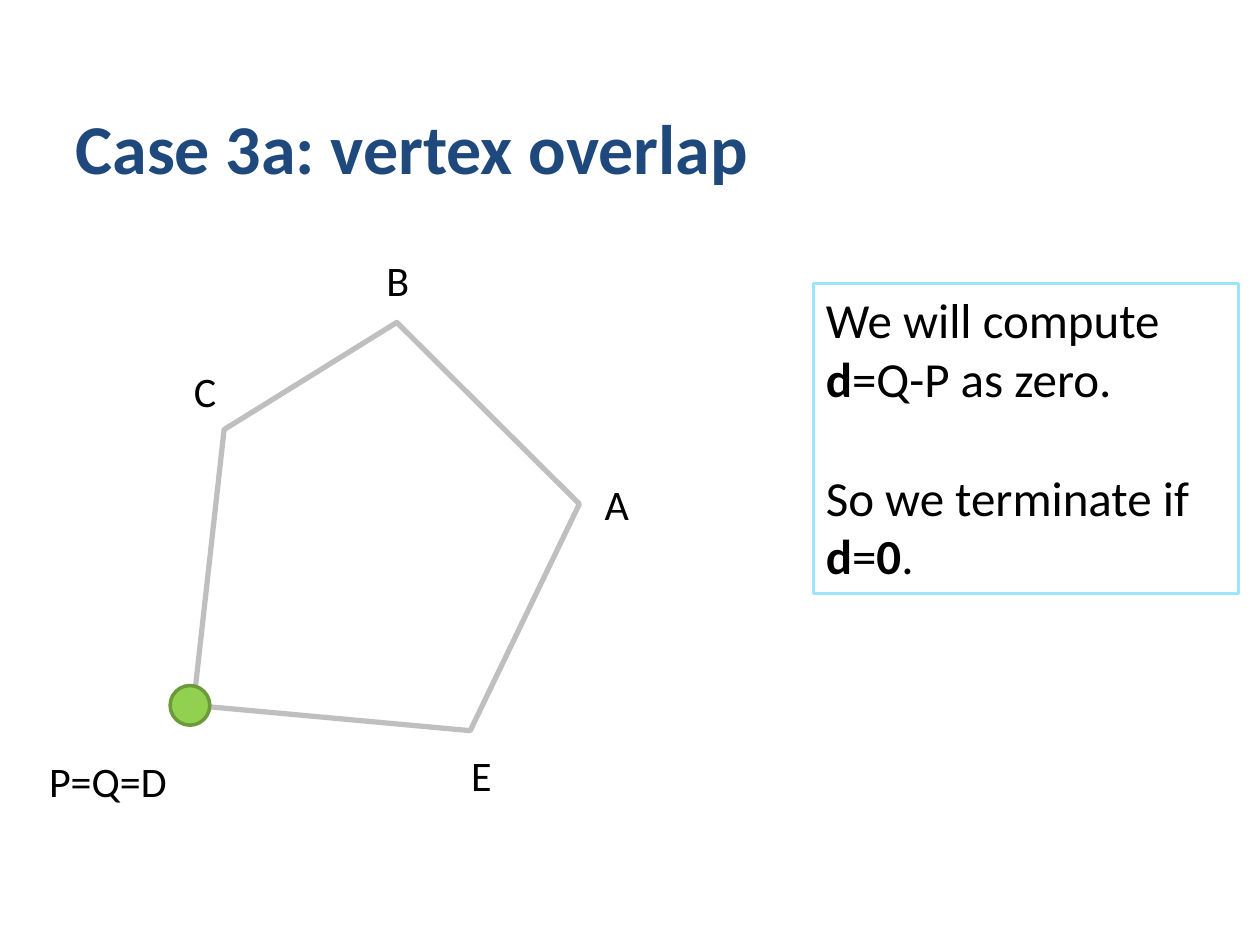
from pptx import Presentation
from pptx.dml.color import RGBColor
from pptx.enum.shapes import MSO_SHAPE
from pptx.enum.text import MSO_ANCHOR, MSO_AUTO_SIZE, PP_ALIGN
from pptx.util import Cm, Pt

COLORS = {
    "title": "1F497D",
    "text": "000000",
    "paper": "FFFFFF",
    "frame": "9DE4FF",
    "edge": "BFBFBF",
    "point": "92D050",
    "point_line": "6C9A3B",
}


class SlideBuilder:
    """Hold the style and current slide, and draw each kind of element."""

    def __init__(self, page, font="Calibri"):
        self.page = page
        self.font = font

    def color(self, name):
        return RGBColor.from_string(COLORS[name])

    def span(self, para, text, size, color="text", bold=False):
        span = para.add_run()
        span.text = text
        span.font.name = self.font
        span.font.size = Pt(size)
        span.font.bold = bold
        span.font.color.rgb = self.color(color)

    def style(self, shape, fill, line, width):
        shape.shadow.inherit = False
        if fill:
            shape.fill.solid()
            shape.fill.fore_color.rgb = self.color(fill)
        else:
            shape.fill.background()
        shape.line.color.rgb = self.color(line)
        shape.line.width = Pt(width)

    def title(self, text, left, top, width, height):
        box = self.page.shapes.title
        box.left, box.top, box.width, box.height = map(Cm, (left, top, width, height))
        frame = box.text_frame
        frame.auto_size = MSO_AUTO_SIZE.NONE
        frame.vertical_anchor = MSO_ANCHOR.BOTTOM
        para = frame.paragraphs[0]
        para.alignment = PP_ALIGN.LEFT
        self.span(para, text, 40, "title", True)

    def note(self, lines, left, top, width, height):
        box = self.page.shapes.add_shape(
            MSO_SHAPE.RECTANGLE, Cm(left), Cm(top), Cm(width), Cm(height))
        self.style(box, "paper", "frame", 2)
        frame = box.text_frame
        frame.word_wrap = True
        frame.vertical_anchor = MSO_ANCHOR.TOP
        for index, (gap, spans) in enumerate(lines):
            para = frame.add_paragraph() if index else frame.paragraphs[0]
            para.alignment = PP_ALIGN.LEFT
            if gap:
                para.space_before = Pt(gap)
            for text, bold in spans:
                self.span(para, text, 28, bold=bold)

    def polygon(self, points):
        start, *others = [(Cm(x), Cm(y)) for x, y in points]
        builder = self.page.shapes.build_freeform(*start)
        builder.add_line_segments(others, close=True)
        self.style(builder.convert_to_shape(), None, "edge", 3)

    def label(self, text, left, top, width):
        box = self.page.shapes.add_textbox(Cm(left), Cm(top), Cm(width), Cm(1.28))
        box.text_frame.word_wrap = False
        self.span(box.text_frame.paragraphs[0], text, 24)

    def point(self, left, top, size):
        dot = self.page.shapes.add_shape(
            MSO_SHAPE.OVAL, Cm(left), Cm(top), Cm(size), Cm(size))
        self.style(dot, "point", "point_line", 2)


def main():
    deck = Presentation()
    deck.slide_width, deck.slide_height = Cm(25.4), Cm(19.05)
    slide = SlideBuilder(deck.slides.add_slide(deck.slide_layouts[5]))

    slide.title("Case 3a: vertex overlap", 1.27, 0.33, 20.96, 3.6)
    slide.note([
        (0, [("We will compute", False)]),
        (0, [("d", True), ("=Q-P as zero.", False)]),
        (34, [("So we terminate if", False)]),
        (0, [("d", True), ("=", False), ("0", True), (".", False)]),
    ], 16.4, 5.72, 8.57, 6.25)
    slide.polygon([(4.52, 8.66), (3.9, 14.22), (9.48, 14.73), (11.68, 10.16), (8, 6.5)])
    for text, left, top, width in [
        ("A", 11.94, 9.53, 1.02),
        ("B", 7.54, 5, 0.97),
        ("C", 3.66, 7.24, 0.97),
        ("E", 9.25, 14.99, 0.94),
        ("P=Q=D", 0.74, 15.11, 2.92),
    ]:
        slide.label(text, left, top, width)
    slide.point(3.43, 13.82, 0.8)

    deck.save("out.pptx")


if __name__ == "__main__":
    main()
